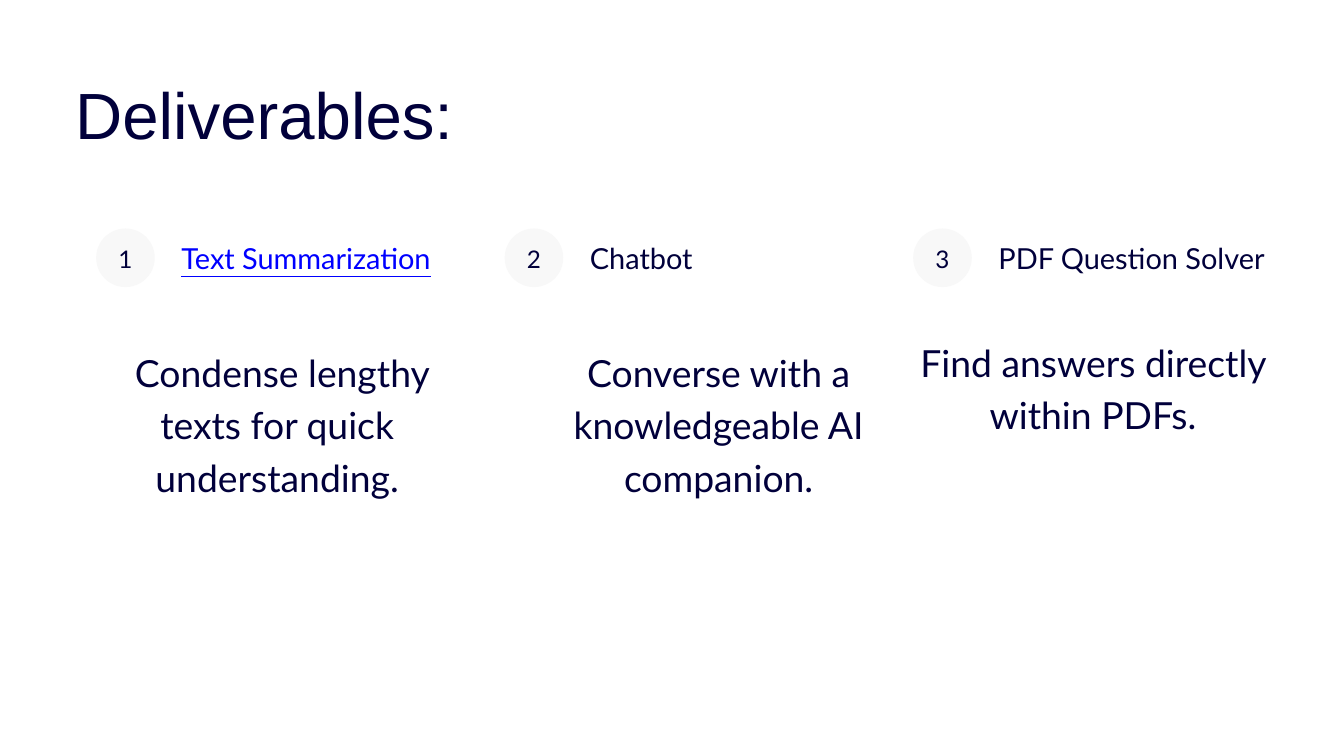
from pptx import Presentation
from pptx.dml.color import RGBColor
from pptx.enum.shapes import MSO_SHAPE
from pptx.enum.text import MSO_ANCHOR, PP_ALIGN
from pptx.util import Pt

OVAL = MSO_SHAPE.OVAL
TOP, MIDDLE = MSO_ANCHOR.TOP, MSO_ANCHOR.MIDDLE
LEFT, CENTER = PP_ALIGN.LEFT, PP_ALIGN.CENTER
COLORS = {"navy": "01003B", "link": "0000FF", "badge": "F8F8F8", "paper": "FFFFFF"}
TITLE_ONLY = 5
COLUMN_STEP = 437.7


def write(box, text, size, line, font="Lato", color="navy", align=LEFT, anchor=TOP):
    frame = box.text_frame
    frame.word_wrap = True
    frame.vertical_anchor = anchor
    frame.margin_left = frame.margin_right = frame.margin_top = frame.margin_bottom = 0
    para = frame.paragraphs[0]
    para.alignment = align
    para.line_spacing = Pt(line)
    para.space_before = Pt(0)
    span = para.add_run()
    span.text = text
    span.font.name = font
    span.font.size = Pt(size)
    span.font.color.rgb = RGBColor.from_string(COLORS[color])
    return span


deck = Presentation()
deck.slide_width, deck.slide_height = Pt(1440), Pt(810)
slide = deck.slides.add_slide(deck.slide_layouts[TITLE_ONLY])
slide.background.fill.solid()
slide.background.fill.fore_color.rgb = RGBColor.from_string(COLORS["paper"])

title = slide.shapes.title
title.left, title.top, title.width, title.height = Pt(80.6), Pt(80), Pt(459.4), Pt(85)
write(title, "Deliverables:", 70, 84, font="Arial")

deliverables = [
    ("Text Summarization", "link", 280.8,
     " Condense lengthy texts for quick understanding.", 96.5, 367.2),
    ("Chatbot", "navy", 280.8,
     "Converse with a knowledgeable AI companion.", 569.5, 367.2),
    ("PDF Question Solver", "navy", 370,
     "Find answers directly within PDFs.", 970.6, 356.4),
]

for index, (name, color, width, description, left, top) in enumerate(deliverables):
    offset = index * COLUMN_STEP

    badge = slide.shapes.add_shape(OVAL, Pt(103 + offset), Pt(244.8), Pt(62.8), Pt(62.8))
    badge.shadow.inherit = False
    badge.fill.solid()
    badge.fill.fore_color.rgb = RGBColor.from_string(COLORS["badge"])
    badge.line.fill.background()
    write(badge, str(index + 1), 26, 36.4, align=CENTER, anchor=MIDDLE)
    badge.text_frame.margin_bottom = Pt(3.6)

    heading = slide.shapes.add_textbox(Pt(194.4 + offset), Pt(251.3), Pt(width), Pt(41.8))
    span = write(heading, name, 31, 43.4, color=color)
    span.font.underline = color == "link"

    body = slide.shapes.add_textbox(Pt(left), Pt(top), Pt(401), Pt(165.6))
    write(body, description, 40, 56, align=CENTER)

deck.save("out.pptx")
